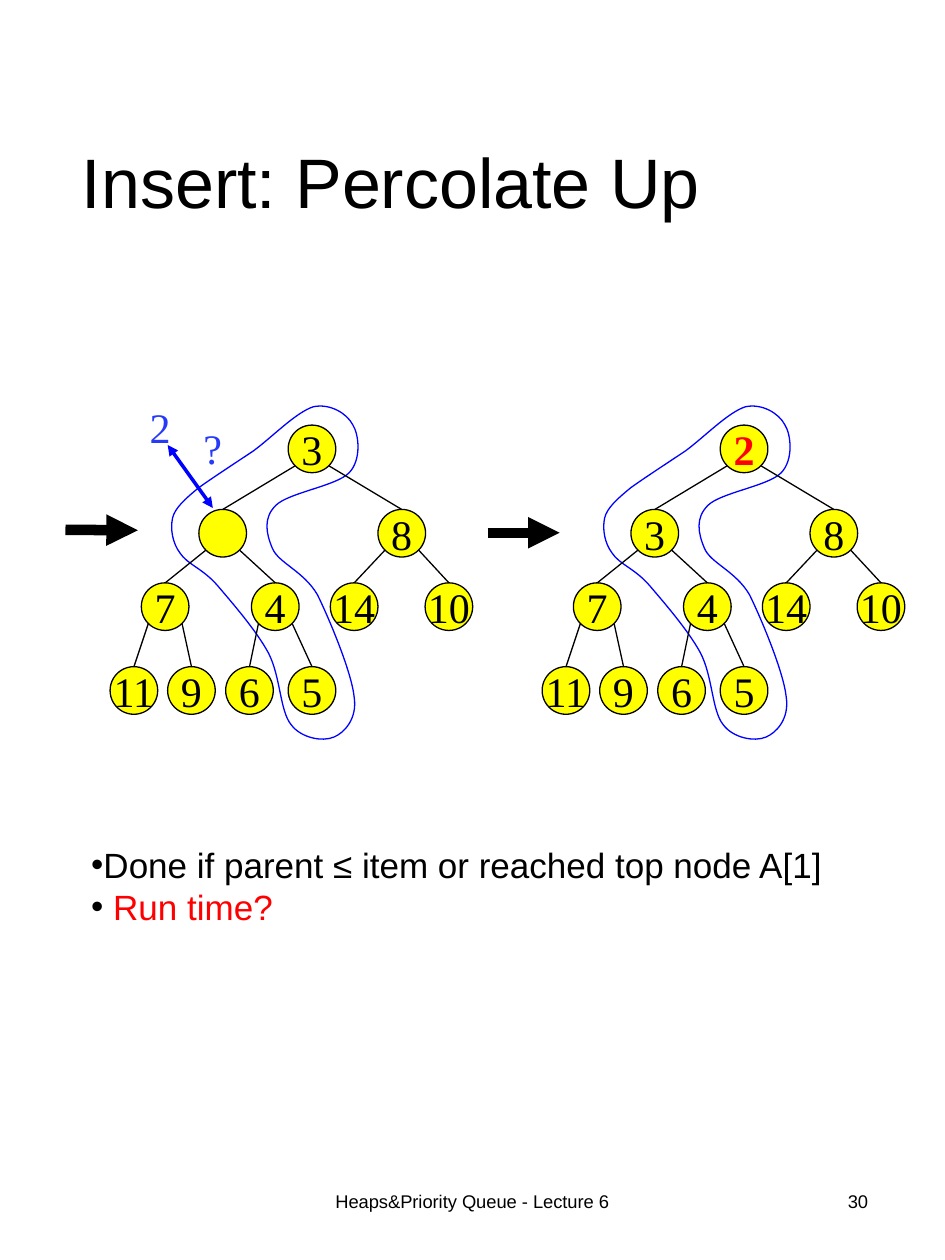
"""Build the "Insert: Percolate Up" heap slide."""
import lxml.etree
import pptx
import pptx.dml.color
import pptx.enum.shapes
import pptx.enum.text
import pptx.oxml.ns
import pptx.util

Cm = pptx.util.Cm
Pt = pptx.util.Pt
PP_ALIGN = pptx.enum.text.PP_ALIGN
MIDDLE = pptx.enum.text.MSO_ANCHOR.MIDDLE
qn = pptx.oxml.ns.qn


def paint(target, color):
    if hasattr(target, "solid"):
        target.solid()
        target = target.fore_color
    elif hasattr(target, "color"):
        target = target.color
    target.rgb = pptx.dml.color.RGBColor.from_string(color)


def draw_line(x1, y1, x2, y2, color, width, ends=()):
    line = slide.shapes.add_connector(
        pptx.enum.shapes.MSO_CONNECTOR.STRAIGHT, Cm(x1), Cm(y1), Cm(x2), Cm(y2))
    paint(line.line, color)
    line.line.width = Pt(width)
    outline = line._element.spPr.find(qn("a:ln"))
    for end in ends:
        lxml.etree.SubElement(outline, qn(f"a:{end}"), type="triangle")
    lxml.etree.SubElement(line._element.spPr, qn("a:effectLst"))
    return line


DIAMETER = 0.96
RIM = 0.34
TREE_GAP = 8.71
BLACK, BLUE, LABEL_BLUE, RED, YELLOW = "000000", "0000FF", "263AF8", "FF0000", "FFFF00"

heap_centers = [
    (6.29, 9.05),
    (4.49, 10.75), (8.1, 10.75),
    (3.33, 12.23), (5.55, 12.23), (7.14, 12.23), (9.05, 12.23),
    (2.7, 13.92), (3.86, 13.92), (5.03, 13.92), (6.29, 13.92),
]
lower_keys = ["8", "7", "4", "14", "10", "11", "9", "6", "5"]
heaps = [(0, ["3", ""] + lower_keys), (TREE_GAP, ["2", "3"] + lower_keys)]

outline_start = (7.11, 8.56)
outline_curves = [
    (6.99, 8.33, 6.65, 8.13, 6.32, 8.2), (5.97, 8.31, 5.49, 8.81, 5.11, 9.09),
    (4.72, 9.35, 4.29, 9.63, 4.01, 9.83), (3.73, 10.06, 3.53, 10.24, 3.48, 10.44),
    (3.43, 10.67, 3.48, 10.95, 3.63, 11.15), (3.78, 11.38, 4.09, 11.46, 4.39, 11.81),
    (4.67, 12.14, 5.16, 12.7, 5.41, 13.16), (5.66, 13.64, 5.64, 14.33, 5.87, 14.61),
    (6.07, 14.88, 6.5, 14.96, 6.73, 14.86), (6.93, 14.78, 7.21, 14.5, 7.14, 14.05),
    (7.09, 13.56, 6.65, 12.5, 6.4, 11.99), (6.12, 11.51, 5.61, 11.35, 5.49, 11.05),
    (5.36, 10.74, 5.31, 10.44, 5.56, 10.19), (5.82, 9.93, 6.78, 9.8, 7.04, 9.53),
    (7.29, 9.27, 7.24, 8.76, 7.11, 8.56),
]

presentation = pptx.Presentation()
presentation.slide_width = Cm(19.05)
presentation.slide_height = Cm(25.4)
slide = presentation.slides.add_slide(presentation.slide_layouts[6])

captions = [
    ("Heaps&Priority Queue - Lecture 6", 6.31, 23.54, 6.43, 1.35, 10.5, PP_ALIGN.CENTER),
    ("30", 13.46, 23.54, 4.29, 1.35, 10.5, PP_ALIGN.RIGHT),
    ("Insert: Percolate Up", 1.4, 1.3, 16.43, 4.9, 40, PP_ALIGN.LEFT),
]
for words, left, top, width, height, size, alignment in captions:
    caption = slide.shapes.add_textbox(Cm(left), Cm(top), Cm(width), Cm(height)).text_frame
    caption.word_wrap = True
    caption.vertical_anchor = MIDDLE
    caption.text = words
    paragraph = caption.paragraphs[0]
    paragraph.alignment = alignment
    if size == 40:
        paragraph.line_spacing = 0.9
    paragraph.font.size = Pt(size)
    paragraph.font.name = "Arial"
    paint(paragraph.font, BLACK)

remarks = slide.shapes.add_textbox(Cm(1.59), Cm(16.87), Cm(15.32), Cm(1.96)).text_frame
remarks.word_wrap = True
remarks.text = "Done if parent ≤ item or reached top node A[1]\n "
question = remarks.paragraphs[1].add_run()
question.text = "Run time?"
for remark in remarks.paragraphs:
    properties = remark._p.get_or_add_pPr()
    properties.set("marL", "0")
    properties.set("indent", "0")
    lxml.etree.SubElement(properties, qn("a:buFont"), typeface="Arial")
    lxml.etree.SubElement(properties, qn("a:buChar"), char="•")
    for run in remark.runs:
        run.font.size = Pt(20)
        run.font.name = "Arial"
        paint(run.font, BLACK)
paint(question.font, RED)

circles = []
for shift, keys in heaps:
    builder = slide.shapes.build_freeform(
        Cm(outline_start[0] + shift), Cm(outline_start[1]))
    builder.add_line_segments([(Cm(curve[4] + shift), Cm(curve[5])) for curve in outline_curves])
    percolation = builder.convert_to_shape()
    percolation.shadow.inherit = False
    percolation.fill.background()
    paint(percolation.line, BLUE)
    percolation.line.width = Pt(0.75)
    segments = list(percolation._element.iter(qn("a:lnTo")))
    for segment, curve in zip(segments, outline_curves):
        bezier = lxml.etree.Element(qn("a:cubicBezTo"))
        for x, y in zip(curve[::2], curve[1::2]):
            lxml.etree.SubElement(bezier, qn("a:pt"),
                                  x=str(Cm(x + shift) - percolation.left),
                                  y=str(Cm(y) - percolation.top))
        segment.getparent().replace(segment, bezier)
    for key, (x, y) in zip(keys, heap_centers):
        circles.append((key, x + shift, y, BLACK, YELLOW))
root_x, root_y = heap_centers[0]
circles[len(heap_centers)] = ("2", root_x + TREE_GAP, root_y, RED, YELLOW)
circles += [("2", 3.23, 8.61, LABEL_BLUE, None), ("?", 4.29, 9.03, LABEL_BLUE, None)]

nodes = []
for key, x, y, key_color, fill_color in circles:
    node = slide.shapes.add_shape(
        pptx.enum.shapes.MSO_SHAPE.OVAL, Cm(x - DIAMETER / 2), Cm(y - DIAMETER / 2),
        Cm(DIAMETER), Cm(DIAMETER))
    node.shadow.inherit = False
    if fill_color:
        paint(node.fill, fill_color)
        paint(node.line, BLACK)
        node.line.width = Pt(0.75)
    else:
        node.fill.background()
        node.line.fill.background()
    if key:
        node.text_frame.text = key
        node.text_frame.word_wrap = False
        node.text_frame.vertical_anchor = MIDDLE
        label = node.text_frame.paragraphs[0]
        label.alignment = PP_ALIGN.CENTER
        label.font.size = Pt(24)
        label.font.name = "Times New Roman"
        label.font.bold = key_color == RED
        paint(label.font, key_color)
    nodes.append(node)

for tree, (shift, keys) in enumerate(heaps):
    for child in range(1, len(keys)):
        parent_x, parent_y = heap_centers[(child - 1) // 2]
        child_x, child_y = heap_centers[child]
        side = -RIM if child % 2 else RIM
        edge = draw_line(parent_x + side + shift, parent_y + RIM,
                         child_x + shift, child_y - DIAMETER / 2, BLACK, 0.75)
        edge.end_connect(nodes[tree * len(keys) + child], 0)

draw_line(3.38, 8.97, 4.29, 10.24, BLUE, 2, ("headEnd", "tailEnd"))
draw_line(1.32, 10.68, 2.78, 10.69, BLACK, 6, ("tailEnd",))
draw_line(9.83, 10.74, 11.28, 10.74, BLACK, 6, ("tailEnd",))

presentation.save("out.pptx")
